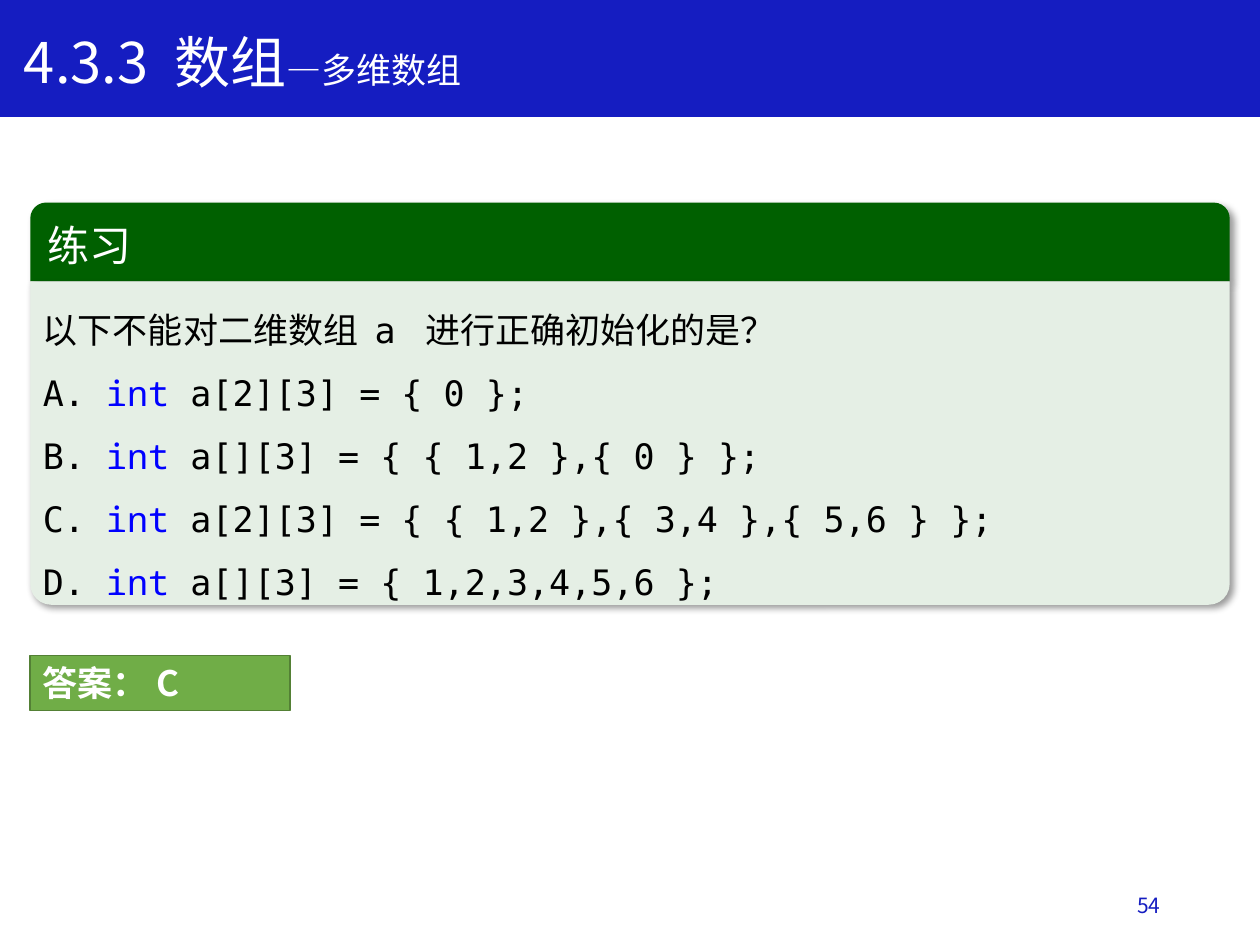
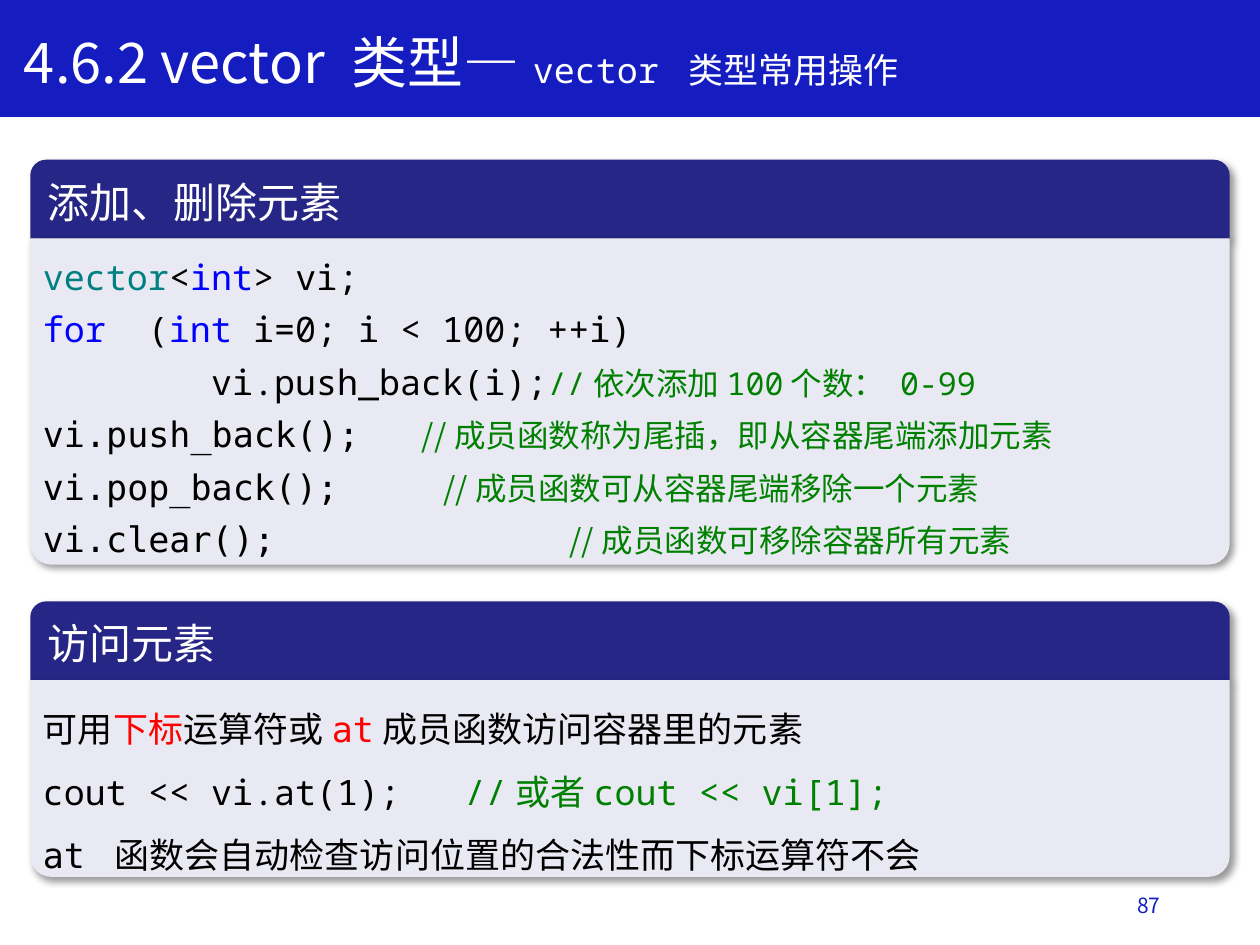
import lxml.etree
import pptx
import pptx.dml.color
import pptx.enum.shapes
import pptx.enum.text
import pptx.oxml.ns
import pptx.util

Pt = pptx.util.Pt
qn = pptx.oxml.ns.qn
PRESET = pptx.enum.shapes.MSO_SHAPE
ALIGN = pptx.enum.text.PP_ALIGN
ANCHOR = pptx.enum.text.MSO_ANCHOR

COLOURS = {
    "band": "151DC1", "white": "FFFFFF", "black": "000000",
    "keyword": "0000FF", "class": "008080", "comment": "008000", "accent": "FF0000",
    "exercise_head": "006000", "exercise_body": "E5EFE5",
    "topic_head": "262686", "topic_body": "E9E9F3",
    "answer": "70AD47", "answer_edge": "538035",
}
SANS, CODE, MONO = "Noto Sans CJK SC", "DejaVu Sans Mono", "Noto Sans Mono"

# Text styles: font, size, colour
STYLES = {
    "title": (SANS, 32, "white"),
    "subtitle": (SANS, 20, "white"),
    "subtitle_code": (MONO, 20, "white"),
    "heading": (SANS, 24, "white"),
    "heading_mono": (MONO, 24, "white"),
    "number": (SANS, 12, "band"),
    "prose": (SANS, 20, "black"),
    "accent": (SANS, 20, "accent"),
    "accent_code": (CODE, 20, "accent"),
    "code": (CODE, 20, "black"),
    "mono": (MONO, 20, "black"),
    "keyword": (MONO, 20, "keyword"),
    "class": (MONO, 20, "class"),
    "remark": (SANS, 20, "comment"),
    "remark_code": (MONO, 20, "comment"),
    "note": (SANS, 18, "comment"),
    "note_code": (MONO, 18, "comment"),
}

PANEL_LEFT, PANEL_WIDTH = 17.3, 685.4
HEAD_HEIGHT, CORNER = 45, 12
CORNER_INSET = 0.29 * CORNER


def rgb(name):
    return pptx.dml.color.RGBColor.from_string(COLOURS[name])


def points(*lengths):
    return [Pt(length) for length in lengths]


def paint(shape, fill, edge=None):
    shape.shadow.inherit = False
    shape.fill.solid()
    shape.fill.fore_color.rgb = rgb(fill)
    if edge:
        shape.line.color.rgb = rgb(edge)
        shape.line.width = Pt(1)
    else:
        shape.line.fill.background()


def cast_shadow(shape):
    effects = shape._element.spPr.find(qn("a:effectLst"))
    shadow = lxml.etree.SubElement(
        effects, qn("a:outerShdw"), blurRad=str(Pt(4)), dist=str(Pt(3)),
        dir=str(45 * 60000), algn="tl", rotWithShape="0")
    black = lxml.etree.SubElement(shadow, qn("a:srgbClr"), val=COLOURS["black"])
    lxml.etree.SubElement(black, qn("a:alpha"), val="40000")


def add_runs(paragraph, runs, bold=False):
    for text, style in runs:
        name, size, colour = STYLES[style]
        run = paragraph.add_run()
        run.text = text
        run.font.size = Pt(size)
        run.font.bold = bold
        run.font.color.rgb = rgb(colour)
        run.font.name = name
        lxml.etree.SubElement(run._r.rPr, qn("a:ea"), typeface=SANS)


def set_tab(paragraph, position):
    stops = lxml.etree.SubElement(paragraph._p.get_or_add_pPr(), qn("a:tabLst"))
    lxml.etree.SubElement(stops, qn("a:tab"), pos=str(Pt(position)), algn="l")


def write(shape, lines, spacing=None, anchor=ANCHOR.TOP, align=ALIGN.LEFT, bold=False):
    """Fill a shape with lines, each a pair of runs and an optional tab position."""
    frame = shape.text_frame
    frame.word_wrap = True
    frame.auto_size = pptx.enum.text.MSO_AUTO_SIZE.NONE
    frame.vertical_anchor = anchor
    for index, (runs, tab) in enumerate(lines):
        paragraph = frame.add_paragraph() if index else frame.paragraphs[0]
        if tab:
            set_tab(paragraph, tab)
        paragraph.alignment = align
        if spacing:
            paragraph.line_spacing = spacing
        add_runs(paragraph, runs, bold)


def add_band(slide):
    """Draw the title band and move it to the layout that all slides share."""
    band = slide.shapes.add_shape(PRESET.RECTANGLE, *points(0, 0, 720, 66.2))
    paint(band, "band", "band")
    slide.slide_layout.shapes.element.insert(2, band._element)


def start_slide(deck, title_runs, number):
    slide = deck.slides.add_slide(deck.slide_layouts[5])
    title = slide.shapes.title
    title.left, title.top, title.width, title.height = points(6.5, 12.2, 630, 46)
    write(title, [(title_runs, None)])
    page = slide.shapes.add_textbox(*points(508.3, 502.6, 162, 28.8))
    write(page, [([(number, "number")], None)], anchor=ANCHOR.MIDDLE, align=ALIGN.RIGHT)
    return slide


def add_panel(slide, top, body_height, theme, heading, lines, spacing):
    """Place a rounded heading bar with its body joined below."""
    parts = slide.shapes.add_group_shape().shapes
    head = parts.add_shape(PRESET.ROUND_2_SAME_RECTANGLE,
                           *points(PANEL_LEFT, top, PANEL_WIDTH, HEAD_HEIGHT))
    body = parts.add_shape(PRESET.ROUND_2_SAME_RECTANGLE,
                           *points(PANEL_LEFT, top + HEAD_HEIGHT, PANEL_WIDTH, body_height))
    head.adjustments[0], head.adjustments[1] = 0.2, 0
    body.adjustments[0], body.adjustments[1] = 0, CORNER / body_height
    for part, tone in ((head, "head"), (body, "body")):
        paint(part, f"{theme}_{tone}")
        cast_shadow(part)
    body.text_frame.margin_left = body.text_frame.margin_right = Pt(7.2 - CORNER_INSET)
    write(head, [([heading], None)], anchor=ANCHOR.MIDDLE)
    write(body, lines, spacing)


def add_answer(slide, left, top, width, height, text):
    answer = slide.shapes.add_shape(PRESET.RECTANGLE, *points(left, top, width, height))
    paint(answer, "answer", "answer_edge")
    write(answer, [([(text, "subtitle")], None)], bold=True)


def option(letter, declaration):
    return [(f"{letter}. ", "code"), ("int", "keyword"), (f" {declaration}", "code")], None


def commented(call, remark, tab):
    return [(f"{call}\t", "code"), (f"//{remark}", "note")], tab


def build_exercise_slide(deck):
    slide = start_slide(deck, [("4.3.3 数组", "title"), ("—多维数组", "subtitle")], "54")
    add_band(slide)
    question = [("以下不能对二维数组 ", "prose"), ("a ", "code"),
                ("进行正确初始化的是？", "prose")], None
    declarations = (
        "a[2][3] = { 0 };",
        "a[][3] = { { 1,2 },{ 0 } };",
        "a[2][3] = { { 1,2 },{ 3,4 },{ 5,6 } };",
        "a[][3] = { 1,2,3,4,5,6 };",
    )
    add_panel(slide, 115.8, 184.8, "exercise", ("练习", "heading"),
              [question, *map(option, "ABCD", declarations)], 1.5)
    add_answer(slide, PANEL_LEFT, 374.6, 148.3, 31.5, "答案：C")


def build_vector_slide(deck):
    slide = start_slide(deck, [("4.6.2 vector 类型—", "title"), ("vector ", "subtitle_code"),
                               ("类型常用操作", "subtitle")], "87")
    add_panel(slide, 91.3, 186.4, "topic", ("添加、删除元素", "heading_mono"), [
        ([("vector", "class"), ("<", "mono"), ("int", "keyword"), ("> vi;", "mono")], None),
        ([("for\t", "keyword"), ("(", "mono"), ("int ", "keyword"),
          ("i=0; i < 100; ++i)", "mono")], 60),
        ([("        vi.push_back(i);", "mono"), ("//", "note_code"), ("依次添加", "note"),
          ("100", "note_code"), ("个数： ", "note"), ("0-99", "note_code")], None),
        commented("vi.push_back();", "成员函数称为尾插，即从容器尾端添加元素", 216.6),
        commented("vi.pop_back();", "成员函数可从容器尾端移除一个元素", 228.7),
        commented("vi.clear();", "成员函数可移除容器所有元素", 301),
    ], Pt(30))
    add_panel(slide, 343.7, 112.4, "topic", ("访问元素", "heading_mono"), [
        ([("可用", "prose"), ("下标", "accent"), ("运算符或", "prose"), ("at", "accent_code"),
          ("成员函数访问容器里的元素", "prose")], None),
        ([("cout << vi.at(1);\t", "mono"), ("//", "remark_code"), ("或者", "remark"),
          ("cout << vi[1];", "remark_code")], 241),
        ([("at ", "code"), ("函数会自动检查访问位置的合法性而下标运算符不会", "prose")], None),
    ], 1.5)


def main():
    deck = pptx.Presentation()
    deck.slide_width, deck.slide_height = points(720, 540)
    build_exercise_slide(deck)
    build_vector_slide(deck)
    deck.save("out.pptx")


if __name__ == "__main__":
    main()
